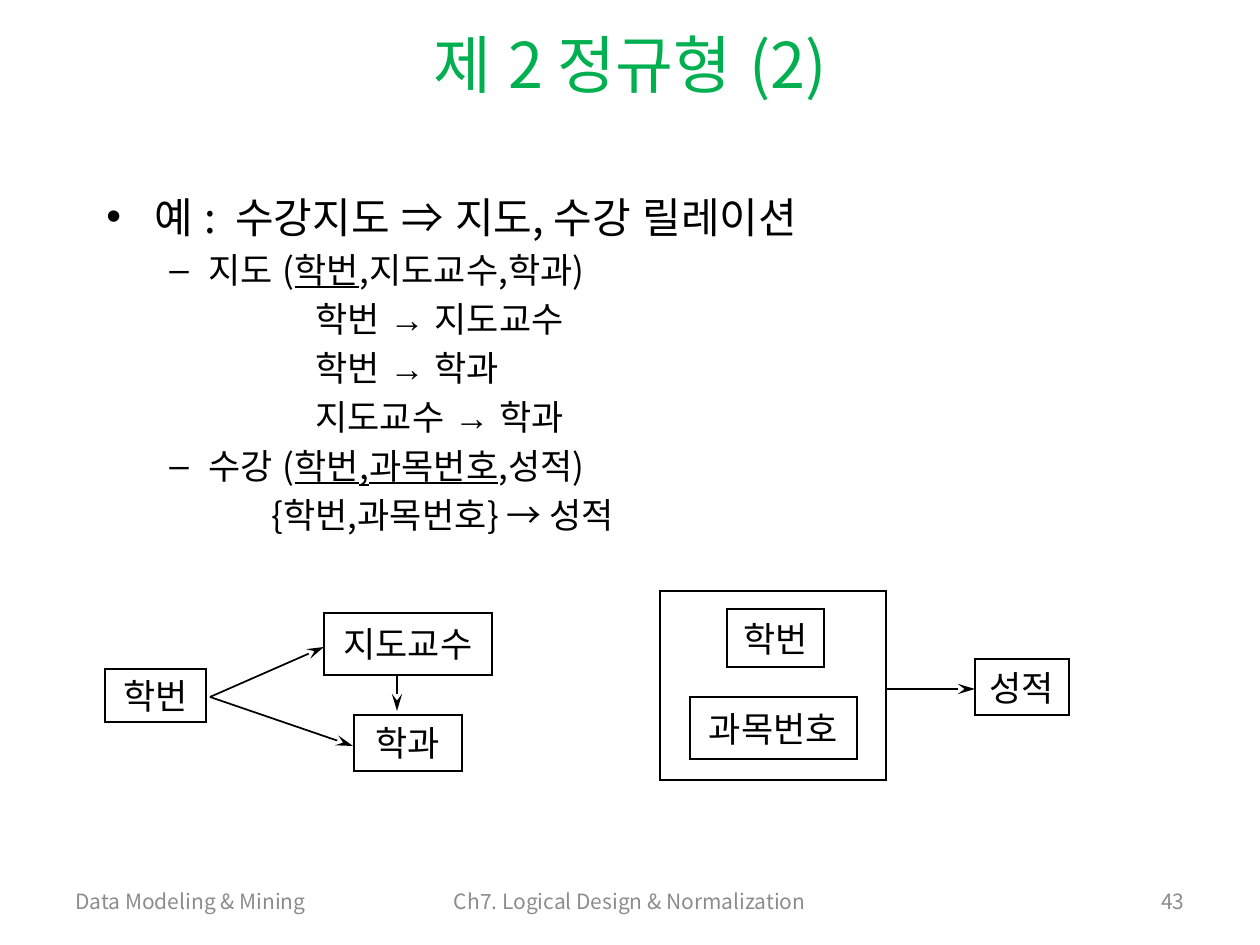
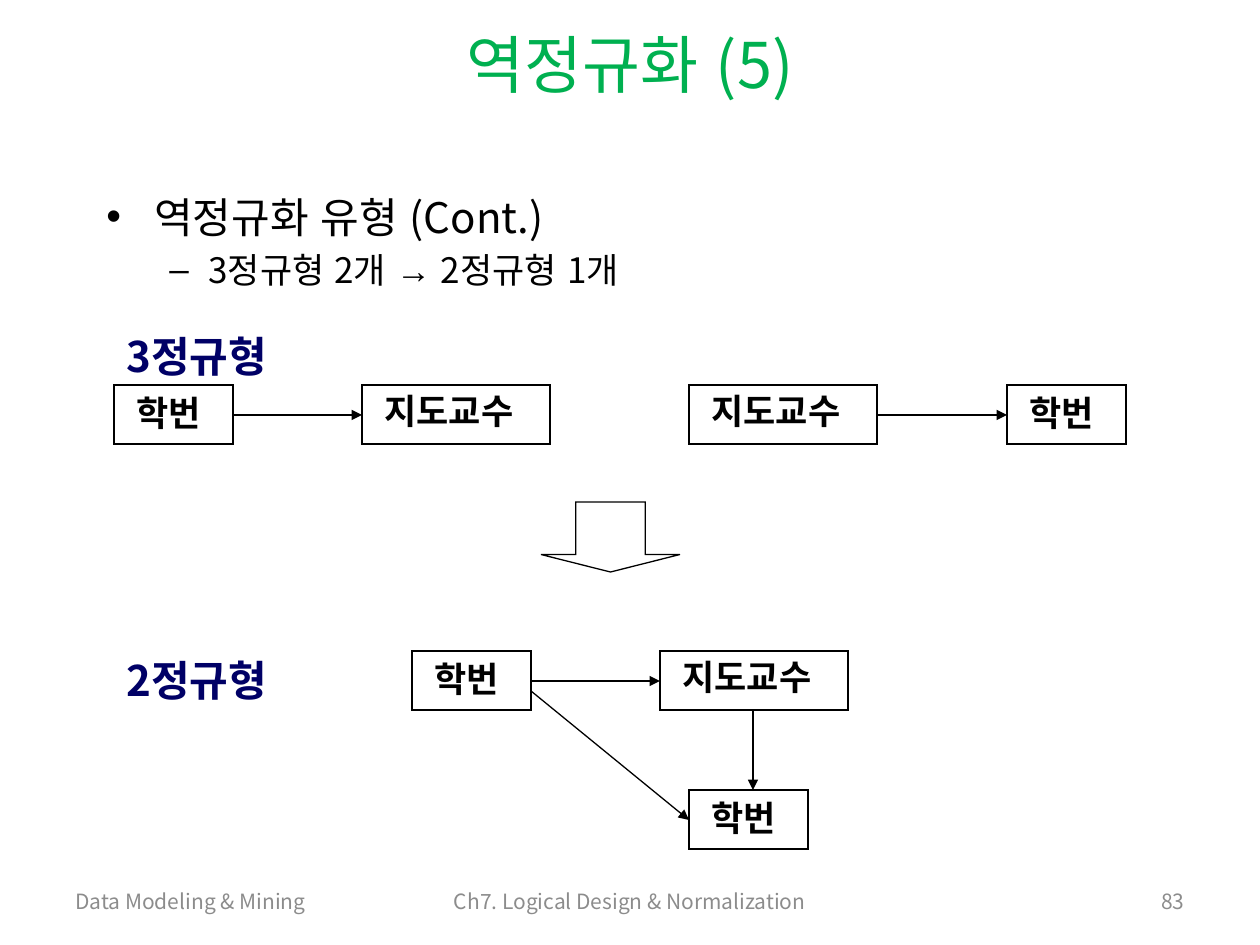
import pptx
import pptx.dml.color
import pptx.enum.shapes
import pptx.enum.text
import pptx.oxml.ns
import pptx.util
from lxml import etree

PX = 914400 / 126
FONT = "Noto Sans CJK KR"
ASIAN_FONT = "Arial"
COLORS = {"title": "00B050", "text": "000000", "footer": "8C8C8C",
          "label": "000066", "line": "000000"}
SHAPES = pptx.enum.shapes.MSO_SHAPE
ANCHOR = pptx.enum.text.MSO_ANCHOR
ALIGN = pptx.enum.text.PP_ALIGN
BULLETS = {"•": (48, -48), "–": (102, -39)}
qn = pptx.oxml.ns.qn


def emu(*lengths):
    return [round(n * PX) for n in lengths]


def rgb(name):
    return pptx.dml.color.RGBColor.from_string(COLORS[name])


def write(p, text, size=20, color="text", font=FONT, bold=False,
          align=ALIGN.LEFT, before=None):
    """Fill a paragraph; text between underscores is underlined."""
    p.alignment = align
    if before:
        p.space_before = pptx.util.Pt(before)
    for i, part in enumerate(text.split("_")):
        r = p.add_run()
        r.text = part
        r.font.size = pptx.util.Pt(size)
        r.font.name = font
        r.font.bold = bold
        r.font.underline = i % 2 == 1
        r.font.color.rgb = rgb(color)
        latin = r.font._element.find(qn("a:latin"))
        latin.addnext(etree.Element(qn("a:ea"), typeface=ASIAN_FONT))


def indent(p, left, hanging=0, bullet=None):
    pPr = p._p.get_or_add_pPr()
    pPr.set("marL", str(emu(left)[0]))
    pPr.set("indent", str(emu(hanging)[0]))
    if bullet:
        etree.SubElement(pPr, qn("a:buFont"), typeface="Arial")
        etree.SubElement(pPr, qn("a:buChar"), char=bullet)
    else:
        etree.SubElement(pPr, qn("a:buNone"))


class Deck:
    def __init__(self):
        self.prs = pptx.Presentation()
        self.prs.slide_width, self.prs.slide_height = emu(1260, 945)

    def slide(self, title, number):
        self.s = self.prs.slides.add_slide(self.prs.slide_layouts[5])
        sp = self.s.shapes.title
        sp.left, sp.top, sp.width, sp.height = emu(63, 20, 1134, 86)
        tf = sp.text_frame
        tf.auto_size = pptx.enum.text.MSO_AUTO_SIZE.NONE
        tf.vertical_anchor = ANCHOR.MIDDLE
        write(tf.paragraphs[0], title, size=36, color="title", align=ALIGN.CENTER)
        for x, w, text, align in (
                (63, 270, "Data Modeling & Mining", ALIGN.LEFT),
                (377, 506, "Ch7. Logical Design & Normalization", ALIGN.CENTER),
                (1116, 81, str(number), ALIGN.RIGHT)):
            self.text(x, 876, w, 50, text, anchor=ANCHOR.MIDDLE,
                      size=12, color="footer", align=align)

    def frame(self, x, y, w, h, anchor=ANCHOR.TOP):
        tf = self.s.shapes.add_textbox(*emu(x, y, w, h)).text_frame
        tf.word_wrap = True
        tf.vertical_anchor = anchor
        return tf

    def text(self, x, y, w, h, text, anchor=ANCHOR.TOP, **style):
        write(self.frame(x, y, w, h, anchor).paragraphs[0], text, **style)

    def body(self, *items):
        """Each item is (bullet, text) or (left indent, text)."""
        tf = self.frame(94, 185, 1071, 645)
        for i, (mark, text) in enumerate(items):
            p = tf.add_paragraph() if i else tf.paragraphs[0]
            if mark in BULLETS:
                indent(p, *BULLETS[mark], bullet=mark)
            else:
                indent(p, mark)
            p.level = 0 if mark == "•" else 1
            write(p, text, size=24 if mark == "•" else 20,
                  before=4 if i else None)

    def outline(self, x, y, w, h, kind=SHAPES.RECTANGLE, weight=0.75):
        sp = self.s.shapes.add_shape(kind, *emu(x, y, w, h))
        sp.shadow.inherit = False
        sp.fill.background()
        sp.line.color.rgb = rgb("line")
        sp.line.width = pptx.util.Pt(weight)
        etree.SubElement(sp.line._get_or_add_ln(), qn("a:miter"), lim="800000")
        return sp

    def attribute(self, x, y, w, h, name):
        tf = self.outline(x, y, w, h, weight=1).text_frame
        tf.word_wrap = False
        tf.vertical_anchor = ANCHOR.MIDDLE
        write(tf.paragraphs[0], name, font="Arial", align=ALIGN.CENTER)

    def key_box(self, x, y, name):
        """Box sized for a short or long name, with a bold left-set label."""
        is_long = len(name) > 2
        self.outline(x, y, 188 if is_long else 119, 59)
        self.text(x + 10, y - 2 * is_long, 189, 54, name, bold=True)

    def form_label(self, y, text):
        self.text(114, y, 248, 63, text, size=24, color="label", bold=True)

    def arrow(self, x1, y1, x2, y2, head="triangle", length="med", weight=0.75):
        c = self.s.shapes.add_connector(
            pptx.enum.shapes.MSO_CONNECTOR.STRAIGHT, *emu(x1, y1, x2, y2))
        c.line.color.rgb = rgb("line")
        c.line.width = pptx.util.Pt(weight)
        etree.SubElement(c.line._get_or_add_ln(), qn("a:tailEnd"),
                         type=head, len=length)
        etree.SubElement(c._element.spPr, qn("a:effectLst"))


def second_normal_form(deck):
    deck.slide("제 2 정규형 (2)", 43)
    deck.body(("•", "예 :  수강지도 ⇒ 지도, 수강 릴레이션"),
              ("–", "지도 (_학번_,지도교수,학과)"),
              (209, "학번 → 지도교수"),
              (209, "학번 → 학과"),
              (209, "지도교수 → 학과"),
              ("–", "수강 (_학번,과목번호_,성적)"),
              (165, "{학번,과목번호} → 성적"))
    deck.outline(660, 591, 226, 189, weight=1)
    for box in ((727, 609, 97, 58, "학번"), (690, 697, 167, 62, "과목번호"),
                (354, 715, 108, 56, "학과"), (324, 613, 168, 62, "지도교수"),
                (975, 659, 94, 56, "성적"), (105, 669, 101, 53, "학번")):
        deck.attribute(*box)
    for ends in ((887, 689, 975, 689), (397, 675, 397, 711),
                 (210, 697, 324, 647), (210, 697, 353, 746)):
        deck.arrow(*ends, head="stealth", length="lg", weight=1)


def denormalization(deck):
    deck.slide("역정규화 (5)", 83)
    deck.body(("•", "역정규화 유형 (Cont.)"),
              ("–", "3정규형 2개 → 2정규형 1개"))
    top, bottom = 385, 651
    for x, y, name in ((412, bottom, "학번"), (660, bottom, "지도교수"),
                       (689, 790, "학번"), (114, top, "학번"),
                       (362, top, "지도교수"), (689, top, "지도교수"),
                       (1007, top, "학번")):
        deck.key_box(x, y, name)
    for x, y in ((233, top), (878, top), (531, bottom)):
        deck.arrow(x, y + 30, x + 129, y + 30)
    deck.arrow(753, 711, 753, 790)
    deck.arrow(531, 691, 689, 820)
    deck.form_label(324, "3정규형")
    deck.form_label(648, "2정규형")
    down = deck.outline(541, 502, 139, 70, kind=SHAPES.DOWN_ARROW)
    down.adjustments[0], down.adjustments[1] = 0.5, 0.25


def main():
    deck = Deck()
    second_normal_form(deck)
    denormalization(deck)
    deck.prs.save("out.pptx")


if __name__ == "__main__":
    main()
